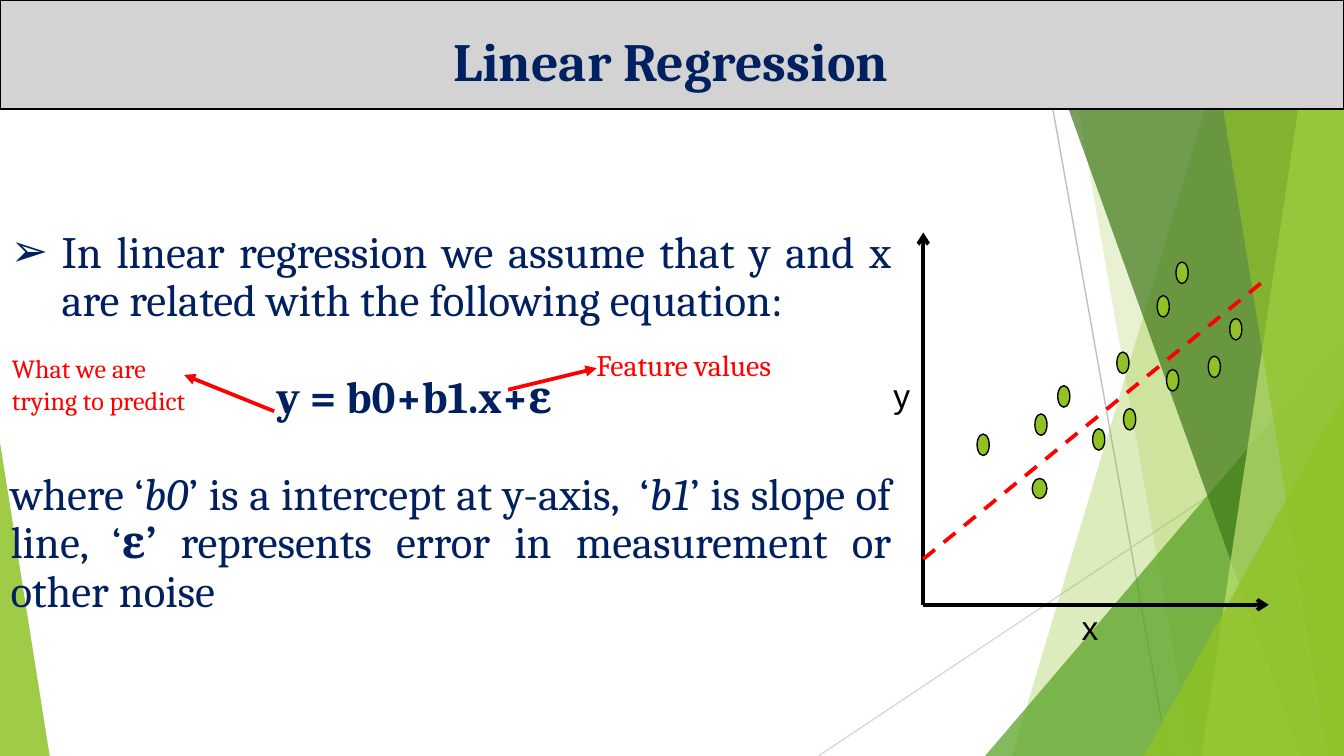
from lxml.etree import SubElement as Sub
from pptx import Presentation
from pptx.dml.color import RGBColor as RGB
from pptx.enum.dml import MSO_LINE as Dash
from pptx.enum.shapes import MSO_CONNECTOR as Link, MSO_SHAPE as Form
from pptx.enum.text import MSO_ANCHOR as Anchor, PP_ALIGN as Align
from pptx.oxml.ns import qn
from pptx.util import Inches, Pt

COLS, ROWS = 100, 56.25
CELL = Inches(0.1)

BLACK = RGB(0, 0, 0)
NAVY = RGB(0x00, 0x20, 0x60)
RED = RGB(0xFF, 0, 0)
GREY = RGB(0xD3, 0xD3, 0xD3)
SILVER = RGB(0xBF, 0xBF, 0xBF)
PALE = RGB(0xD9, 0xD9, 0xD9)
LIME = RGB(0x90, 0xC2, 0x26)
LEAF = RGB(0x54, 0xA0, 0x21)
FOREST = RGB(0x3F, 0x78, 0x19)
MINT = RGB(0xC0, 0xE4, 0x74)

DOTS = [(72.7, 32.3), (89.9, 26.5), (86.8, 27.5), (83.1, 26.2),
        (81.3, 31.9), (77, 30.8), (86.1, 22), (83.6, 30.4),
        (78.7, 28.7), (91.5, 23.7), (87.5, 19.5)]


def grid(*cells):
    return [round(n * CELL) for n in cells]


def paint(shape, fill, alpha=100, edge=None):
    shape.shadow.inherit = False
    shape.fill.solid()
    shape.fill.fore_color.rgb = fill
    if alpha < 100:
        color = shape.fill._xPr.find(qn("a:solidFill"))[0]
        Sub(color, qn("a:alpha"), val=str(alpha * 1000))
    if edge:
        shape.line.color.rgb = BLACK
        shape.line.width = Pt(edge)
    else:
        shape.line.fill.background()


def block(slide, form, box, fill, alpha=100, edge=None, peak=None):
    shape = slide.shapes.add_shape(form, *grid(*box))
    if peak is not None:
        shape.adjustments[0] = peak
    paint(shape, fill, alpha, edge)


def shard(slide, top, base, fill, alpha):
    pen = slide.shapes.build_freeform(*grid(top, 0))
    ends = [(COLS, 0), (COLS, ROWS), (base, ROWS)]
    pen.add_line_segments([grid(*end) for end in ends], close=True)
    paint(pen.convert_to_shape(), fill, alpha)


def line(slide, start, end, color, width, tip=None, dash=None):
    link = slide.shapes.add_connector(Link.STRAIGHT, *grid(*start, *end))
    link.line.color.rgb = color
    link.line.width = Pt(width)
    if dash:
        link.line.dash_style = dash
    if tip:
        Sub(link.line._get_or_add_ln(), qn("a:tailEnd"), type=tip)
    Sub(link._element.spPr, qn("a:effectLst"))


def frame(slide, box, anchor=Anchor.TOP):
    text = slide.shapes.add_textbox(*grid(*box)).text_frame
    text.word_wrap = True
    text.vertical_anchor = anchor
    return text


def write(para, text, size, color, font="Cambria", bold=False, slant=False):
    run = para.add_run()
    run.text = text
    run.font.name = font
    run.font.size = Pt(size)
    run.font.color.rgb = color
    run.font.bold = bold
    run.font.italic = slant


def label(slide, box, text, size, color, font="Cambria"):
    write(frame(slide, box).paragraphs[0], text, size, color, font)


def layout(para, left=0, hang=0, gap=0):
    para.alignment = Align.JUSTIFY
    para.line_spacing = 0.9
    para.space_before = Pt(gap)
    props = para._p.get_or_add_pPr()
    props.set("marL", str(Inches(left)))
    props.set("indent", str(-Inches(hang)))
    return props


def facets(slide):
    line(slide, (76.9, 0), (86.9, ROWS), SILVER, 0.75)
    line(slide, (COLS, 30.2), (60.9, ROWS), PALE, 0.75)
    shard(slide, 92.1, 75.3, LIME, 30)
    shard(slide, 78.8, 88.7, LIME, 20)
    block(slide, Form.ISOSCELES_TRIANGLE, (73.3, 25, 26.7, ROWS - 25), LEAF, 72, peak=1)
    shard(slide, 76.6, 96.8, FOREST, 70)
    shard(slide, 97.8, 89.4, MINT, 70)
    shard(slide, 89.7, 98.8, LIME, 65)
    block(slide, Form.ISOSCELES_TRIANGLE, (85.1, 29.4, 14.9, ROWS - 29.4), LIME, 80, peak=1)
    block(slide, Form.ISOSCELES_TRIANGLE, (0, 32.9, 3.7, ROWS - 32.9), LIME, 85, peak=0)


def header(slide):
    block(slide, Form.RECTANGLE, (0, 0, COLS, 8.1), GREY, edge=1)
    para = frame(slide, (-0.2, 1.45, 100.2, 6), Anchor.MIDDLE).paragraphs[0]
    para.alignment = Align.CENTER
    write(para, "Linear Regression", 28.8, NAVY, bold=True)


def body(slide):
    text = frame(slide, (-0.2, 16.6, 67.5, 30.1))
    lead = text.paragraphs[0]
    props = layout(lead, 0.38, 0.38)
    Sub(props, qn("a:buFont"), typeface="Arial")
    Sub(props, qn("a:buChar"), char="➢")
    write(lead, "In linear regression we assume that y and x are related "
                "with the following equation:", 24, NAVY)

    model = text.add_paragraph()
    layout(model, 1.98, gap=26)
    write(model, "y = b0+b1.x+ε", 24, NAVY, bold=True)

    terms = text.add_paragraph()
    layout(terms, gap=26)
    for part, bold, slant in [
            ("where ‘", False, False), ("b0", False, True),
            ("’ is a intercept at y-axis,  ‘", False, False),
            ("b1", False, True), ("’ is slope of line, ‘", False, False),
            ("ε’ ", True, False),
            ("represents error in measurement or other noise", False, False)]:
        write(terms, part, 24, NAVY, bold=bold, slant=slant)


def notes(slide):
    label(slide, (-0.1, 25.75, 16.8, 5.7), "What we are trying to predict", 14, RED)
    line(slide, (20.4, 30.6), (13.7, 27.9), RED, 2, "triangle")
    label(slide, (43.4, 25.3, 21.7, 3.7), "Feature values", 16, RED)
    line(slide, (37.8, 29), (44.4, 27.4), RED, 2, "triangle")


def plot(slide):
    zero = (68.7, 45)
    line(slide, zero, (94.4, 45), BLACK, 2, "arrow")
    line(slide, zero, (68.7, 17.3), BLACK, 2, "arrow")
    line(slide, (68.7, 41.6), (94.4, 20.6), RED, 2, dash=Dash.DASH)
    for dot in DOTS:
        block(slide, Form.OVAL, (*dot, 0.9, 1.6), LIME, edge=0.75)
    block(slide, Form.OVAL, (76.8, 35.6, 1.1, 1.5), LIME, edge=0.75)
    label(slide, (79.5, 44.7, 3.7, 4), "x", 18, BLACK, "Arial")
    label(slide, (65.5, 27.4, 4.3, 4), "y", 18, BLACK, "Arial")


def main():
    deck = Presentation()
    deck.slide_width, deck.slide_height = grid(COLS, ROWS)
    slide = deck.slides.add_slide(deck.slide_layouts[6])
    for draw in (facets, header, body, notes, plot):
        draw(slide)
    deck.save("out.pptx")


if __name__ == "__main__":
    main()
